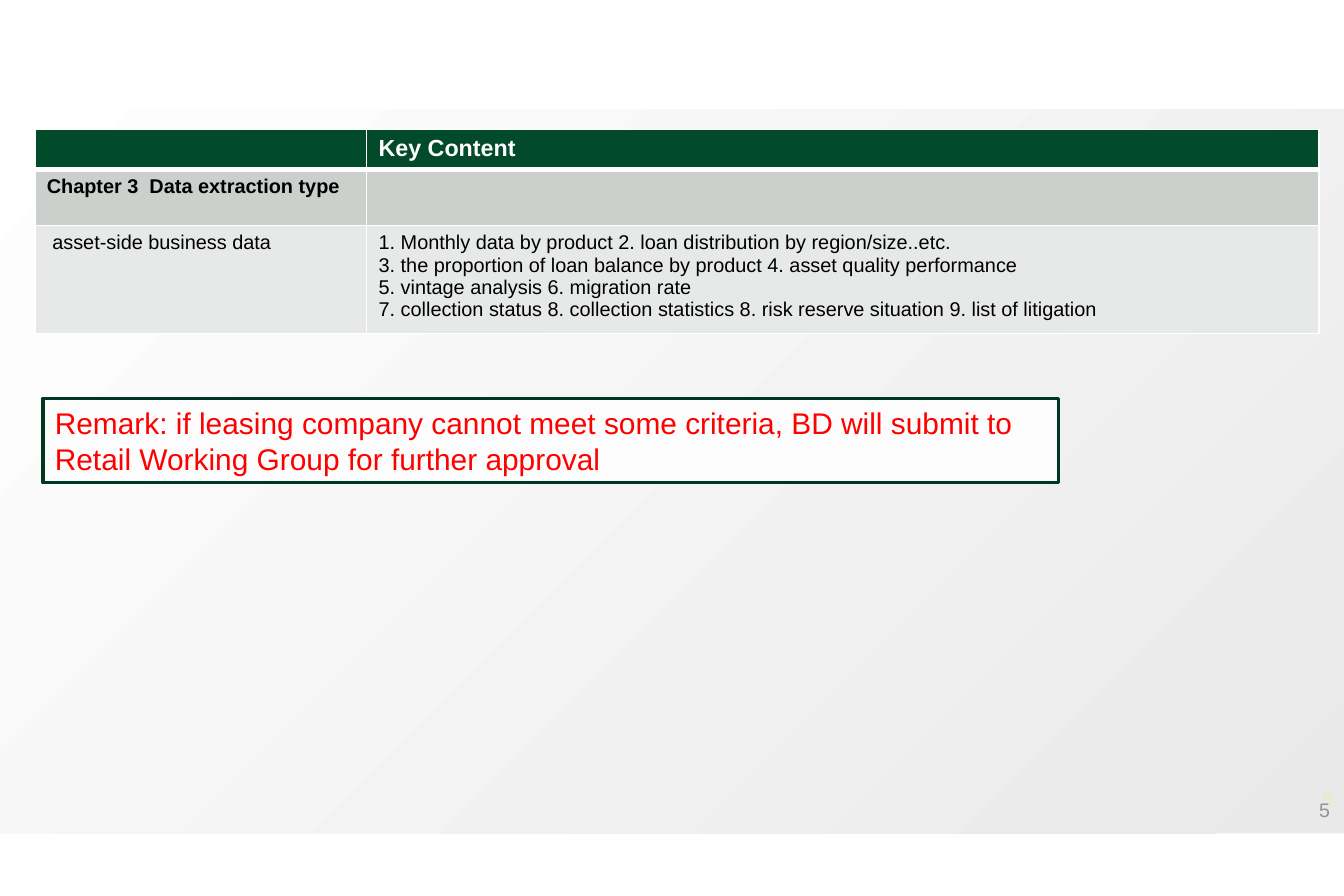
from dataclasses import dataclass

from lxml.etree import SubElement
from pptx import Presentation
from pptx.dml.color import RGBColor
from pptx.enum.shapes import MSO_SHAPE
from pptx.enum.text import MSO_ANCHOR, PP_ALIGN
from pptx.oxml import parse_xml
from pptx.oxml.ns import nsdecls, qn
from pptx.util import Pt


@dataclass(frozen=True)
class Theme:
    font: str = "Arial"
    white: str = "FFFFFF"
    black: str = "000000"
    header: str = "014B2A"
    chapter: str = "CCD0CD"
    detail: str = "E7E9E8"
    band: str = "DEDEDE"
    box: str = "FCFCFC"
    outline: str = "01371F"
    remark: str = "FF0000"
    pale_number: str = "FFFF99"
    number_size: float = 11.8
    header_size: float = 14
    cell_size: float = 12
    remark_size: float = 18


class SlideBuilder:
    def __init__(self, slide, theme):
        self.slide = slide
        self.theme = theme

    def format_text(self, text_frame, size, color, bold=False, align=PP_ALIGN.LEFT):
        for paragraph in text_frame.paragraphs:
            paragraph.alignment = align
            for run in paragraph.runs:
                run.font.name = self.theme.font
                run.font.size = Pt(size)
                run.font.bold = bold
                run.font.color.rgb = RGBColor.from_string(color)

    def page_number(self, text, left, top, width, height, color, bold, inset_x, inset_y):
        text_frame = self.slide.shapes.add_textbox(
            Pt(left), Pt(top), Pt(width), Pt(height)).text_frame
        text_frame.word_wrap = True
        text_frame.margin_left = text_frame.margin_right = Pt(inset_x)
        text_frame.margin_top = text_frame.margin_bottom = Pt(inset_y)
        text_frame.text = text
        self.format_text(text_frame, self.theme.number_size, color, bold, PP_ALIGN.RIGHT)

    def rectangle(self, left, top, width, height, fill, line=None):
        shape = self.slide.shapes.add_shape(
            MSO_SHAPE.RECTANGLE, Pt(left), Pt(top), Pt(width), Pt(height))
        shape.shadow.inherit = False
        shape.fill.solid()
        shape.fill.fore_color.rgb = RGBColor.from_string(fill)
        if line:
            shape.line.color.rgb = RGBColor.from_string(line)
            shape.line.width = Pt(2)
        else:
            shape.line.fill.background()
        return shape

    def gradient_band(self, left, top, width, height, start, end, opacity):
        shape = self.rectangle(left, top, width, height, start)
        stops = "".join(
            f'<a:gs pos="{position}"><a:srgbClr val="{color}">'
            f'<a:alpha val="{opacity * 1000}"/></a:srgbClr></a:gs>'
            for position, color in ((0, start), (100000, end)))
        gradient = parse_xml(
            f'<a:gradFill {nsdecls("a")} rotWithShape="1"><a:gsLst>{stops}</a:gsLst>'
            '<a:path path="circle"><a:fillToRect r="100000" b="100000"/></a:path></a:gradFill>')
        properties = shape.element.spPr
        properties.replace(properties.find(qn("a:solidFill")), gradient)

    def remark(self, text, left, top, width, height):
        shape = self.rectangle(left, top, width, height, self.theme.box, self.theme.outline)
        text_frame = shape.text_frame
        text_frame.word_wrap = True
        text_frame.vertical_anchor = MSO_ANCHOR.MIDDLE
        text_frame.text = text
        self.format_text(text_frame, self.theme.remark_size, self.theme.remark)

    def cell_borders(self, cell, bottom_width):
        properties = cell._tc.get_or_add_tcPr()
        widths = {"lnL": 1, "lnR": 1, "lnT": 1, "lnB": bottom_width}
        for index, (side, width) in enumerate(widths.items()):
            properties.insert(index, parse_xml(
                f'<a:{side} {nsdecls("a")} w="{Pt(width)}"><a:solidFill>'
                f'<a:srgbClr val="{self.theme.white}"/></a:solidFill></a:{side}>'))

    def table(self, left, top, column_widths, row_heights, rows):
        table = self.slide.shapes.add_table(
            len(rows), len(column_widths), Pt(left), Pt(top),
            Pt(sum(column_widths)), Pt(sum(row_heights))).table
        for column, width in zip(table.columns, column_widths):
            column.width = Pt(width)
        for row, height, (texts, fill, color, size, bold, bottom) in zip(
                table.rows, row_heights, rows):
            row.height = Pt(height)
            for cell, text in zip(row.cells, texts):
                cell.fill.solid()
                cell.fill.fore_color.rgb = RGBColor.from_string(fill)
                self.cell_borders(cell, bottom)
                cell.text_frame.text = text
                self.format_text(cell.text_frame, size, color, bold)
                if not text:
                    # An empty cell keeps its row as low as the text size allows
                    SubElement(cell.text_frame.paragraphs[0]._p, qn("a:endParaRPr"),
                               sz=str(size * 100))


def main():
    theme = Theme()
    presentation = Presentation()
    presentation.slide_width, presentation.slide_height = Pt(810), Pt(540)
    slide = presentation.slides.add_slide(presentation.slide_layouts[6])
    builder = SlideBuilder(slide, theme)

    # Page numbers, veiled by the background band
    builder.page_number("5", 762.5, 471, 46.8, 20, theme.pale_number, True, 5.8, 2.9)
    builder.page_number("5", 768.2, 477.4, 40.4, 21.6, theme.black, False, 7.2, 3.6)

    # Background
    builder.gradient_band(0, 66, 810.5, 436.3, theme.white, theme.band, 65)
    builder.rectangle(1.4, 0, 810, 65.5, theme.white)

    # Chapter table
    content = "\n".join((
        "1. Monthly data by product 2. loan distribution by region/size..etc.",
        "3. the proportion of loan balance by product 4. asset quality performance",
        "5. vintage analysis 6. migration rate",
        "7. collection status 8. collection statistics 8. risk reserve situation "
        "9. list of litigation",
    ))
    rows = (
        (("", "Key Content"), theme.header, theme.white, theme.header_size, True, 3),
        (("Chapter 3  Data extraction type", ""),
         theme.chapter, theme.black, theme.cell_size, True, 1),
        ((" asset-side business data", content),
         theme.detail, theme.black, theme.cell_size, False, 1),
    )
    builder.table(21, 78, (200, 574), (23.5, 34, 64.8), rows)

    # Remark
    builder.remark(
        "Remark: if leasing company cannot meet some criteria, BD will submit to "
        "Retail Working Group for further approval", 26, 240, 612, 51)

    presentation.save("out.pptx")


if __name__ == "__main__":
    main()
